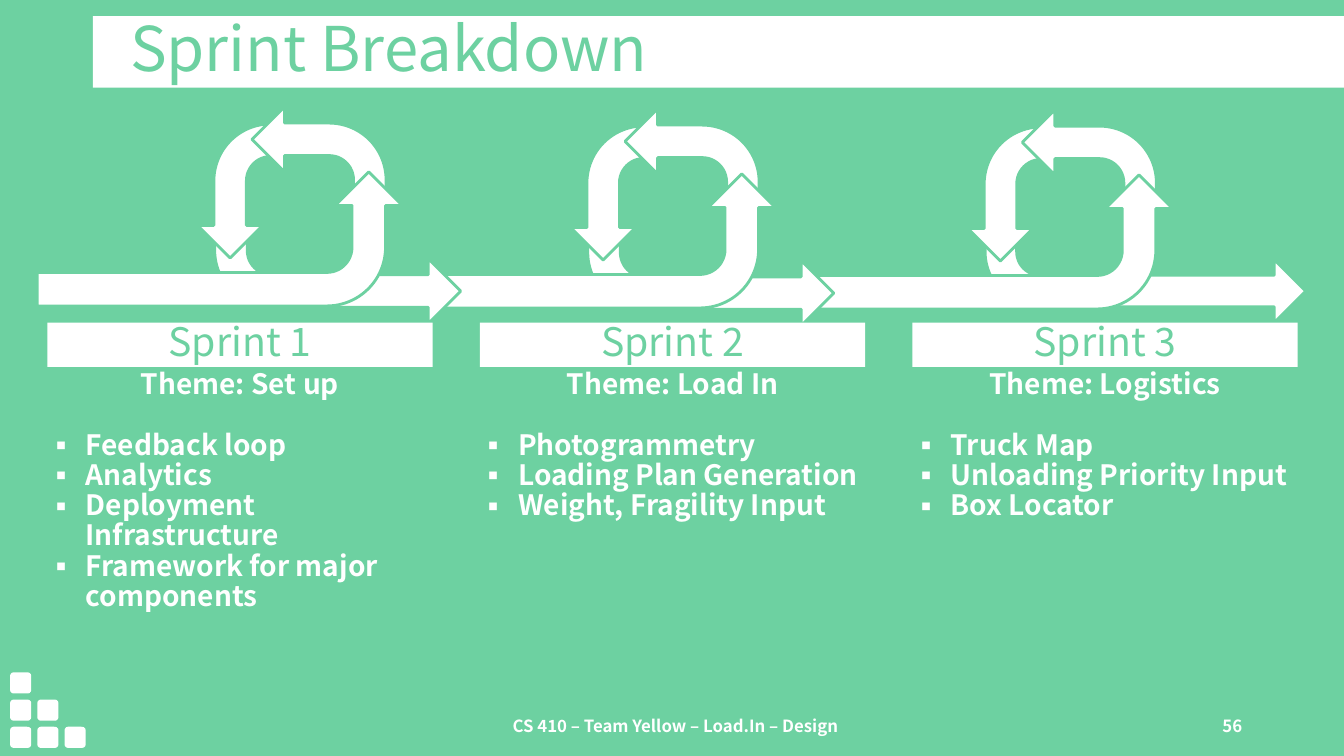
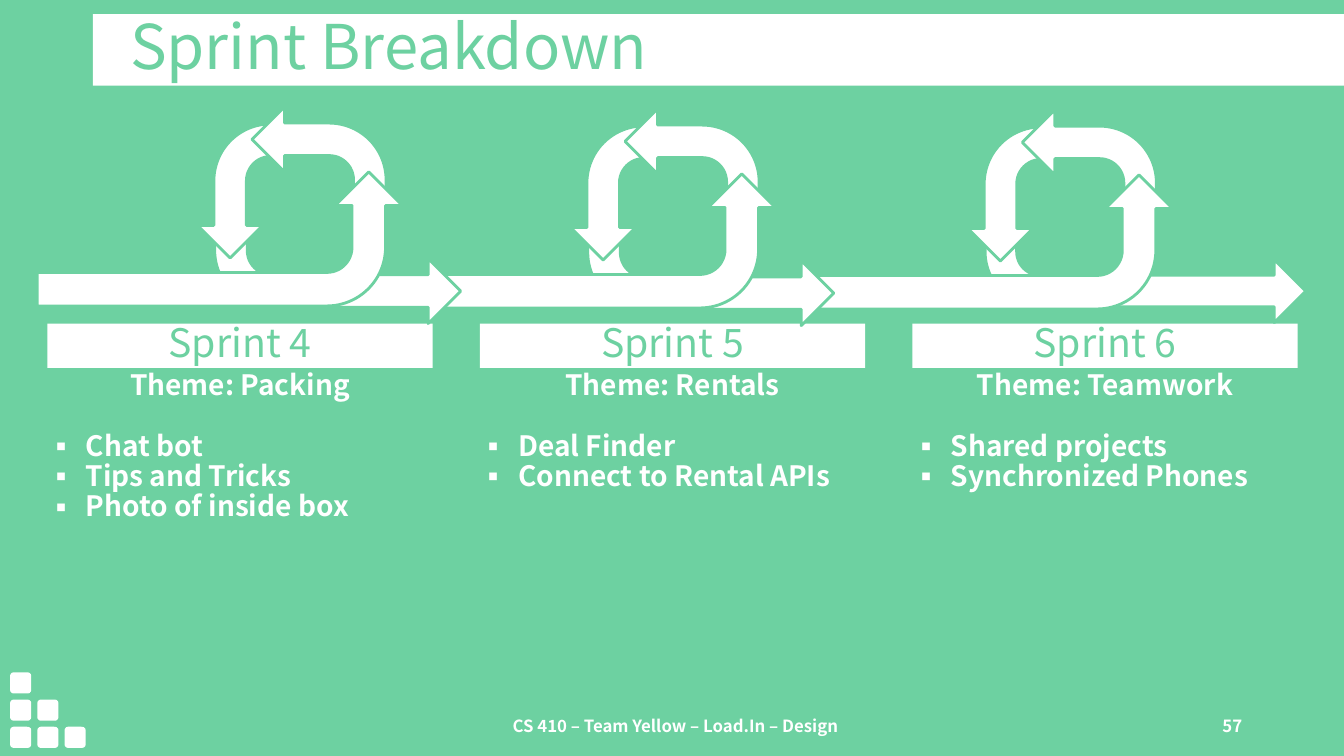
from lxml import etree
from pptx import Presentation
from pptx.dml.color import RGBColor
from pptx.enum.shapes import MSO_SHAPE
from pptx.enum.text import MSO_ANCHOR, MSO_AUTO_SIZE, PP_ALIGN
from pptx.oxml.ns import qn
from pptx.util import Inches, Pt

RECTANGLE, ROUNDED = MSO_SHAPE.RECTANGLE, MSO_SHAPE.ROUNDED_RECTANGLE
BENT_ARROW = MSO_SHAPE.BENT_ARROW
LEFT, CENTER, RIGHT = PP_ALIGN.LEFT, PP_ALIGN.CENTER, PP_ALIGN.RIGHT
TOP, MIDDLE = MSO_ANCHOR.TOP, MSO_ANCHOR.MIDDLE
NO_FIT = MSO_AUTO_SIZE.NONE

# Shared look
GREEN, WHITE = "6DD1A1", "FFFFFF"
FONT = "Noto Sans CJK KR"
FOOTER = "CS 410 – Team Yellow – Load.In – Design"
COMPARISON_LAYOUT = 4
COLUMN_LEFT, COLUMN_STEP, COLUMN_WIDTH = 0.47, 4.29, 3.82
HANGING = 0.38

# Loop left and top, straight start of the track, size of the outgoing arrow
LOOPS = [
    (2.50, 1.06, 3.62, 2.44, 1.29),
    (6.20, 1.08, 3.82, 2.44, 1.29),
    (10.14, 1.09, 3.82, 3.18, 1.25),
]

SLIDES = [
    dict(number=56, title_top=0.16, band_top=3.20, loops_in_front=False, sprints=[
        ("Sprint 1", "Theme: Set up",
         ["Feedback loop", "Analytics", "Deployment Infrastructure",
          "Framework for major components"]),
        ("Sprint 2", "Theme: Load In",
         ["Photogrammetry", "Loading Plan Generation", "Weight, Fragility Input"]),
        ("Sprint 3", "Theme: Logistics",
         ["Truck Map", "Unloading Priority Input", "Box Locator"]),
    ]),
    dict(number=57, title_top=0.14, band_top=3.21, loops_in_front=True, sprints=[
        ("Sprint 4", "Theme: Packing",
         ["Chat bot", "Tips and Tricks", "Photo of inside box"]),
        ("Sprint 5", "Theme: Rentals", ["Deal Finder", "Connect to Rental APIs"]),
        ("Sprint 6", "Theme: Teamwork", ["Shared projects", "Synchronized Phones"]),
    ]),
]


def paint(fill, color):
    fill.solid()
    fill.fore_color.rgb = RGBColor.from_string(color)


def place(shape, left, top, width, height):
    shape.left, shape.top = Inches(left), Inches(top)
    shape.width, shape.height = Inches(width), Inches(height)


def set_frame(shape, anchor=TOP, margins=(0, 0, 0, 0)):
    frame = shape.text_frame
    frame.word_wrap = True
    frame.auto_size = NO_FIT
    frame.vertical_anchor = anchor
    (frame.margin_left, frame.margin_top,
     frame.margin_right, frame.margin_bottom) = map(Inches, margins)
    return frame


def set_bullet(paragraph, bullet):
    props = paragraph._p.get_or_add_pPr()
    props.set("marL", str(Inches(HANGING if bullet else 0)))
    props.set("indent", str(Inches(-HANGING if bullet else 0)))
    if bullet:
        etree.SubElement(props, qn("a:buFont"), typeface=FONT)
        etree.SubElement(props, qn("a:buChar"), char=bullet)
    else:
        etree.SubElement(props, qn("a:buNone"))


def write(frame, text, size=20, color=WHITE, bold=False, align=LEFT,
          spacing=0.9, after=0, bullet=None):
    """Fill the empty first paragraph of the frame, or add another one."""
    paragraph = frame.paragraphs[0]
    if paragraph.runs:
        paragraph = frame.add_paragraph()
    set_bullet(paragraph, bullet)
    paragraph.alignment = align
    paragraph.line_spacing = spacing
    paragraph.space_before, paragraph.space_after = Pt(0), Pt(after)
    run = paragraph.add_run()
    run.text = text
    run.font.name, run.font.size, run.font.bold = FONT, Pt(size), bold
    run.font.color.rgb = RGBColor.from_string(color)


def add_block(slide, kind, left, top, width, height, outline=None):
    block = slide.shapes.add_shape(
        kind, Inches(left), Inches(top), Inches(width), Inches(height))
    block.shadow.inherit = False
    paint(block.fill, WHITE)
    if outline:
        paint(block.line.fill, outline)
        block.line.width = Pt(2)
    else:
        block.line.fill.background()
    return block


def add_bent_arrow(slide, left, top, width, height, rotation=0):
    arrow = add_block(slide, BENT_ARROW, left, top, width, height, GREEN)
    arrow._element.spPr.xfrm.set("flipH", "1")
    arrow.rotation = rotation


def add_loop(slide, left, top, entry_length, exit_width, exit_height):
    breadth, length = 1.33, 1.29
    add_bent_arrow(slide, left - 0.37, top + 0.86, exit_width, exit_height, 180)
    add_bent_arrow(slide, left - 0.56, top + 0.19, breadth, length, 270)
    add_bent_arrow(slide, left, top, breadth, length)
    # The quarter turn swaps the sides around the centre of the arrow
    center_x, center_y = left + 1.49 - entry_length / 2, top + 1.31
    add_bent_arrow(slide, center_x - breadth / 2, center_y - entry_length / 2,
                   breadth, entry_length, 90)


def add_loops(slide):
    for loop in reversed(LOOPS):
        add_loop(slide, *loop)


def add_title(slide, top):
    title = slide.shapes.title
    place(title, 0.92, top, 12.41, 0.71)
    paint(title.fill, WHITE)
    frame = set_frame(title, MIDDLE, (0.37, 0.05, 0.1, 0.05))
    write(frame, "Sprint Breakdown", size=44, color=GREEN)


def add_sprint_lists(slide, top, sprints):
    bodies = list(slide.placeholders)[1:]
    for column, (body, (_, theme, tasks)) in enumerate(zip(bodies, sprints)):
        place(body, COLUMN_LEFT + column * COLUMN_STEP, top, COLUMN_WIDTH, 3.39)
        frame = set_frame(body)
        write(frame, theme, bold=True, align=CENTER, after=22)
        for task in tasks:
            write(frame, task, bold=True, bullet="▪")
    for unused in bodies[len(sprints):]:
        unused._element.getparent().remove(unused._element)


def add_sprint_bands(slide, top, sprints):
    for column, (name, _, _) in enumerate(sprints):
        band = add_block(slide, RECTANGLE, COLUMN_LEFT + column * COLUMN_STEP,
                         top, COLUMN_WIDTH, 0.44)
        write(set_frame(band), name, size=28, color=GREEN, align=CENTER)


def add_footer_text(slide, text, left, width, align):
    box = slide.shapes.add_textbox(
        Inches(left), Inches(6.9), Inches(width), Inches(0.6))
    frame = set_frame(box, MIDDLE, (0.1, 0.05, 0.1, 0.05))
    write(frame, text, size=12, bold=True, align=align, spacing=1)


def style_master(master, slide):
    """Set the background and move a staircase of squares to the master."""
    paint(master.background.fill, GREEN)
    steps = [(row, column) for row in range(3) for column in range(3 - row)]
    for number, (row, column) in enumerate(steps):
        square = add_block(slide, ROUNDED, 0.1 + 0.27 * column,
                           7.21 - 0.27 * row, 0.21, 0.21)._element
        square.nvSpPr.cNvPr.set("id", str(100 + number))
        master.shapes._spTree.append(square)


def add_sprint_slide(prs, number, title_top, band_top, loops_in_front, sprints):
    slide = prs.slides.add_slide(prs.slide_layouts[COMPARISON_LAYOUT])
    add_title(slide, title_top)
    add_sprint_lists(slide, band_top + 0.47, sprints)
    if loops_in_front:
        add_sprint_bands(slide, band_top, sprints)
        add_loops(slide)
    else:
        add_loops(slide)
        add_sprint_bands(slide, band_top, sprints)
    add_footer_text(slide, FOOTER, 4.45, 4.5, CENTER)
    add_footer_text(slide, str(number), 9.42, 3, RIGHT)
    return slide


def main():
    prs = Presentation()
    prs.slide_width, prs.slide_height = Inches(13.33), Inches(7.5)
    slides = [add_sprint_slide(prs, **content) for content in SLIDES]
    style_master(prs.slide_master, slides[0])
    prs.save("out.pptx")


if __name__ == "__main__":
    main()
